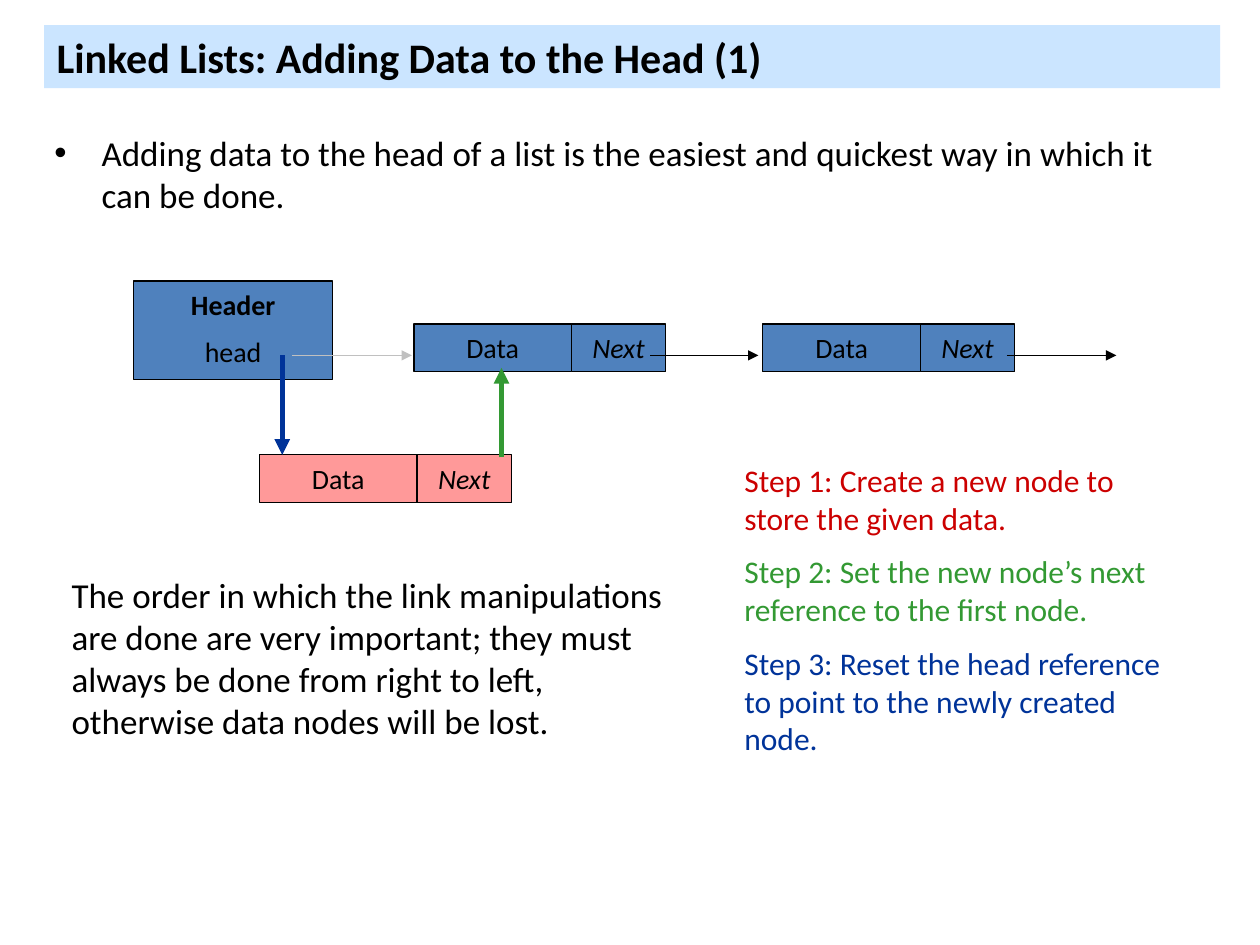
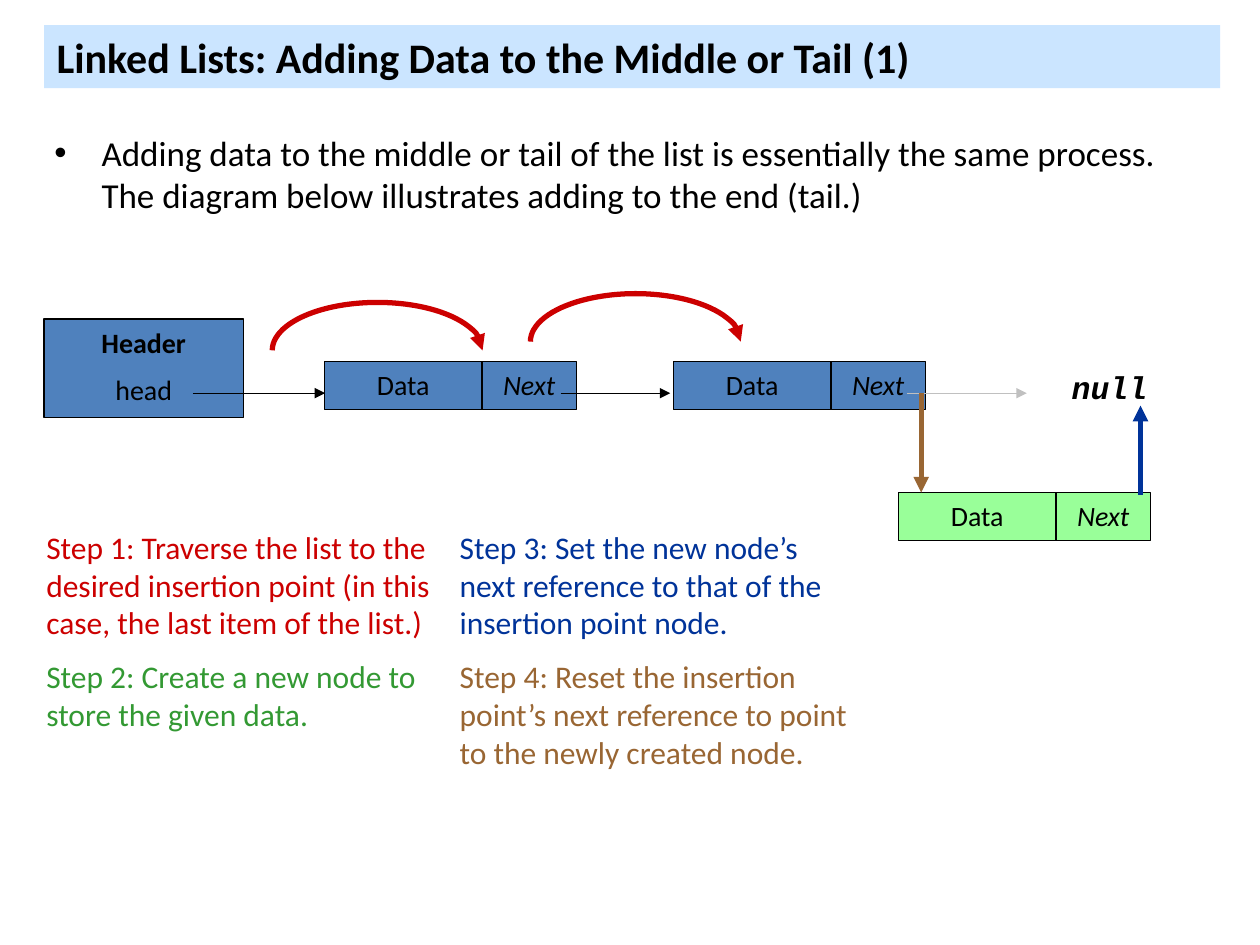
from lxml import etree
from pptx import Presentation
from pptx.dml.color import RGBColor
from pptx.enum.shapes import MSO_CONNECTOR, MSO_SHAPE
from pptx.enum.text import MSO_ANCHOR, MSO_AUTO_SIZE, PP_ALIGN
from pptx.oxml.ns import qn
from pptx.util import Pt

STRAIGHT = MSO_CONNECTOR.STRAIGHT
RECTANGLE, ARC = MSO_SHAPE.RECTANGLE, MSO_SHAPE.ARC
TOP = MSO_ANCHOR.TOP
NO_AUTOFIT = MSO_AUTO_SIZE.NONE
LEFT, CENTER = PP_ALIGN.LEFT, PP_ALIGN.CENTER

BLACK, GREY = "000000", "C0C0C0"
RED, GREEN, BLUE, BROWN = "CC0000", "339933", "003399", "996633"
BAND, NODE, PINK, LIME = "99CCFF", "4F81BD", "FF9999", "99FF99"

DATA_WIDTH, NEXT_WIDTH, NODE_HEIGHT = 90, 54, 27.4
HEADER_WIDTH, HEADER_HEIGHT = 113.8, 56.2
FIRST_NODE_OFFSET, NODE_PITCH, NODE_DROP = 160.2, 199.4, 24.5
LINK_DROP, NEW_NODE_DROP = 42.5, 99.3


def rgb(color):
    """Turn a hex string into a colour."""
    return RGBColor.from_string(color)


def place(shape, left, top, width, height):
    """Move and size a shape in points."""
    shape.left, shape.top = Pt(left), Pt(top)
    shape.width, shape.height = Pt(width), Pt(height)


def write(frame, lines, size, align=LEFT, bold=False, italic=False, font="Calibri"):
    """Fill a text frame with (text, colour) paragraphs."""
    frame.word_wrap = True
    frame.auto_size = NO_AUTOFIT
    frame.vertical_anchor = TOP
    frame.text = "\n".join(text for text, _ in lines)
    for index, (paragraph, (_, color)) in enumerate(zip(frame.paragraphs, lines)):
        paragraph.alignment = align
        paragraph.space_before = Pt(size / 2 if index else 0)
        for run in paragraph.runs:
            run.font.name, run.font.size = font, Pt(size)
            run.font.bold, run.font.italic = bold, italic
            run.font.color.rgb = rgb(color)


def add_text(slide, box, lines, size, **style):
    """Add a text box."""
    frame = slide.shapes.add_textbox(*map(Pt, box)).text_frame
    write(frame, lines, size, **style)


def add_box(slide, box, fill, words, italic=False):
    """Add an outlined box with centred text."""
    shape = slide.shapes.add_shape(RECTANGLE, *map(Pt, box))
    shape.shadow.inherit = False
    shape.fill.solid()
    shape.fill.fore_color.rgb = rgb(fill)
    shape.line.color.rgb = rgb(BLACK)
    shape.line.width = Pt(0.75)
    write(shape.text_frame, [(word, BLACK) for word in words], 16, CENTER, italic=italic)
    return shape


def add_node(slide, left, top, fill):
    """Add a list node with its data and next cells."""
    add_box(slide, (left, top, DATA_WIDTH, NODE_HEIGHT), fill, ["Data"])
    add_box(slide, (left + DATA_WIDTH, top, NEXT_WIDTH, NODE_HEIGHT), fill, ["Next"], True)


def style_arrow(shape, color, width):
    """Colour a line and end it with an arrowhead."""
    shape.line.color.rgb = rgb(color)
    shape.line.width = Pt(width)
    etree.SubElement(shape.line._get_or_add_ln(), qn("a:tailEnd"), type="triangle")


def add_arrow(slide, start, end, color, width=0.75):
    """Add a straight arrow between two points."""
    arrow = slide.shapes.add_connector(STRAIGHT, *map(Pt, start + end))
    style_arrow(arrow, color, width)
    etree.SubElement(arrow._element.spPr, qn("a:effectLst"))


def add_hop(slide, left, top):
    """Add a curved arrow over one step of the traversal."""
    hop = slide.shapes.add_shape(ARC, Pt(left), Pt(top), Pt(120.2), Pt(54.8))
    hop.adjustments[0], hop.adjustments[1] = 108, 0
    hop.shadow.inherit = False
    hop.fill.background()
    style_arrow(hop, RED, 3)


def add_list(slide, left, top, links):
    """Add the header, two nodes and the (start, end, colour) links."""
    for index in range(2):
        node_left = left + FIRST_NODE_OFFSET + index * NODE_PITCH
        add_node(slide, node_left, top + NODE_DROP, NODE)
    header = add_box(slide, (left, top, HEADER_WIDTH, HEADER_HEIGHT), NODE, ["Header", "head"])
    header.text_frame.paragraphs[0].runs[0].font.bold = True
    link_y = top + LINK_DROP
    for start, end, color in links:
        add_arrow(slide, (start, link_y), (end, link_y), color)


def add_new_node(slide, left, list_top, fill, next_color, link_color):
    """Add the inserted node with its outgoing and incoming references."""
    top = list_top + NEW_NODE_DROP
    next_x, link_x = left + 138.3, left + 13
    add_node(slide, left, top, fill)
    add_arrow(slide, (next_x, top + 1.5), (next_x, top - 49.7), next_color, 3)
    add_arrow(slide, (link_x, list_top + LINK_DROP), (link_x, top), link_color, 3)


def add_slide(deck, heading, intro):
    """Add a slide with its title band and introduction."""
    slide = deck.slides.add_slide(deck.slide_layouts[1])
    title, body = slide.shapes.title, slide.placeholders[1]
    place(title, 25.2, 14.4, 672, 36)
    title.fill.solid()
    title.fill.fore_color.rgb = rgb(BAND)
    band_color = title._element.spPr.find(".//" + qn("a:srgbClr"))
    etree.SubElement(band_color, qn("a:alpha"), val="50000")
    write(title.text_frame, [(heading, BLACK)], 24, bold=True)
    place(body, 23.8, 71.3, 672, 55.4)
    properties = body.text_frame.paragraphs[0]._p.get_or_add_pPr()
    properties.set("marL", "0")
    properties.set("indent", "0")
    etree.SubElement(properties, qn("a:buNone"))
    write(body.text_frame, [(intro, BLACK)], 20)
    return slide


def add_head_slide(deck):
    """Show insertion at the head."""
    slide = add_slide(
        deck,
        "Linked Lists: Adding Data to the Head (1)",
        "Adding data to the head of a list is the easiest and quickest way "
        "in which it can be done.",
    )
    list_top = 160.6
    links = [(167, 235.4, GREY), (371.5, 433.4, BLACK), (575.3, 637.9, BLACK)]
    add_list(slide, 76.3, list_top, links)
    add_new_node(slide, 148.3, list_top, PINK, GREEN, BLUE)
    steps = [
        ("Step 1: Create a new node to store the given data.", RED),
        ("Step 2: Set the new node’s next reference to the first node.", GREEN),
        ("Step 3: Reset the head reference to point to the newly created node.", BLUE),
    ]
    add_text(slide, (418.3, 259.9, 264.2, 180.7), steps, 18)
    warning = (
        "The order in which the link manipulations are done are very important; "
        "they must always be done from right to left, otherwise data nodes will be lost."
    )
    add_text(slide, (33.8, 324, 360.7, 127.4), [(warning, BLACK)], 20)


def add_tail_slide(deck):
    """Show insertion at the tail."""
    slide = add_slide(
        deck,
        "Linked Lists: Adding Data to the Middle or Tail (1)",
        "Adding data to the middle or tail of the list is essentially the same process. "
        "The diagram below illustrates adding to the end (tail.)",
    )
    list_top = 182.2
    links = [(518.4, 586.8, GREY), (320.4, 383, BLACK), (110.2, 185.8, BLACK)]
    add_list(slide, 25.2, list_top, links)
    add_new_node(slide, 513.4, list_top, LIME, BLUE, BROWN)
    add_text(slide, (586.8, 206.6, 94.3, 28.8), [("null", BLACK)], 18,
             align=CENTER, bold=True, italic=True, font="Courier New")
    add_hop(slide, 155.6, 172.8)
    add_hop(slide, 303.1, 167.8)
    first_steps = [
        ("Step 1: Traverse the list to the desired insertion point "
         "(in this case, the last item of the list.)", RED),
        ("Step 2: Create a new node to store the given data.", GREEN),
    ]
    last_steps = [
        ("Step 3: Set the new node’s next reference to that of the insertion point node.", BLUE),
        ("Step 4: Reset the insertion point’s next reference to point "
         "to the newly created node.", BROWN),
    ]
    add_text(slide, (19.4, 298.1, 237.6, 147.6), first_steps, 18)
    add_text(slide, (255.6, 298.1, 239.8, 169.2), last_steps, 18)


def main():
    """Build and save the deck."""
    deck = Presentation()
    deck.slide_width, deck.slide_height = Pt(720), Pt(540)
    add_head_slide(deck)
    add_tail_slide(deck)
    deck.save("out.pptx")


if __name__ == "__main__":
    main()
